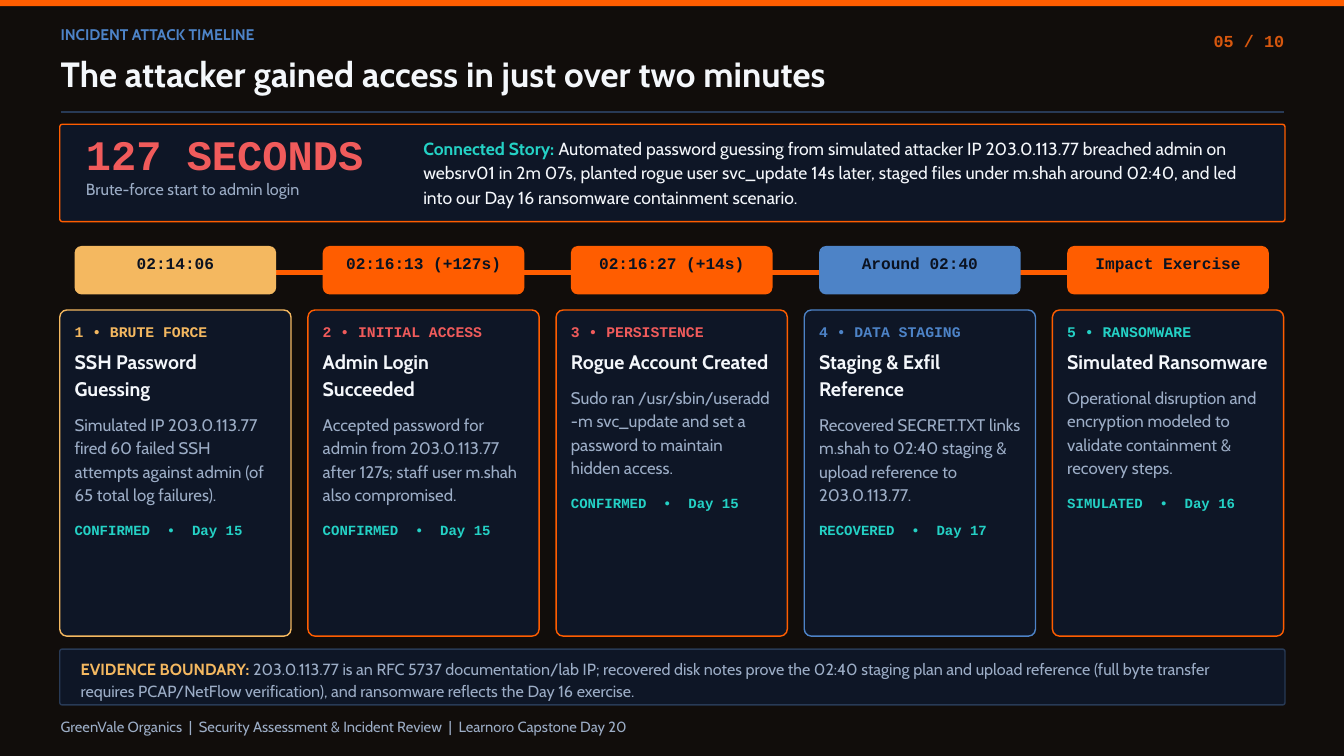
from collections import namedtuple

from lxml.etree import SubElement
from pptx import Presentation
from pptx.dml.color import RGBColor
from pptx.enum.shapes import MSO_CONNECTOR, MSO_SHAPE
from pptx.enum.text import PP_ALIGN
from pptx.oxml.ns import qn
from pptx.util import Cm, Pt

BACKGROUND = RGBColor(0x11, 0x0D, 0x0B)
PANEL = RGBColor(0x0E, 0x16, 0x26)
RULE = RGBColor(0x28, 0x3A, 0x56)
ORANGE = RGBColor(0xFF, 0x5D, 0x00)
PAGE_ORANGE = RGBColor(0xD7, 0x57, 0x0E)
AMBER = RGBColor(0xF4, 0xB8, 0x60)
RED = RGBColor(0xF0, 0x5B, 0x5B)
BLUE = RGBColor(0x4D, 0x83, 0xC7)
TEAL = RGBColor(0x24, 0xD1, 0xC5)
WHITE = RGBColor(0xF4, 0xF7, 0xFB)
GREY = RGBColor(0x9C, 0xAD, 0xC6)
INK = RGBColor(0x0B, 0x12, 0x20)

SANS = "Cabin"
MONO = "Courier New"

SLIDE_WIDTH, SLIDE_HEIGHT = 50.8, 28.58
MARGIN = 2.29
PANEL_LEFT, PANEL_WIDTH = 2.26, 46.31
CARD_PITCH, CARD_WIDTH = 9.38, 8.74
CARD_PADDING = 0.56

Run = namedtuple("Run", "text size color bold font", defaults=(False, SANS))
Line = namedtuple("Line", "runs spacing before", defaults=(0,))
Stage = namedtuple("Stage", "time phase title detail status accent phase_color")

STAGES = [
    Stage("02:14:06", "BRUTE FORCE", "SSH Password Guessing",
          "Simulated IP 203.0.113.77 fired 60 failed SSH attempts against "
          "admin (of 65 total log failures).",
          "CONFIRMED  •  Day 15", AMBER, AMBER),
    Stage("02:16:13 (+127s)", "INITIAL ACCESS", "Admin Login Succeeded",
          "Accepted password for admin from 203.0.113.77 after 127s; "
          "staff user m.shah also compromised.",
          "CONFIRMED  •  Day 15", ORANGE, RED),
    Stage("02:16:27 (+14s)", "PERSISTENCE", "Rogue Account Created",
          "Sudo ran /usr/sbin/useradd -m svc_update and set a password "
          "to maintain hidden access.",
          "CONFIRMED  •  Day 15", ORANGE, RED),
    Stage("Around 02:40", "DATA STAGING", "Staging & Exfil Reference",
          "Recovered SECRET.TXT links m.shah to 02:40 staging & upload "
          "reference to 203.0.113.77.",
          "RECOVERED  •  Day 17", BLUE, BLUE),
    Stage("Impact Exercise", "RANSOMWARE", "Simulated Ransomware",
          "Operational disruption and encryption modeled to validate "
          "containment & recovery steps.",
          "SIMULATED  •  Day 16", ORANGE, TEAL),
]


def add_text(slide, left, top, width, height, lines, align=PP_ALIGN.LEFT):
    box = slide.shapes.add_textbox(Cm(left), Cm(top), Cm(width), Cm(height))
    frame = box.text_frame
    frame.word_wrap = True
    frame.margin_left = frame.margin_right = 0
    frame.margin_top = frame.margin_bottom = 0
    for index, line in enumerate(lines):
        paragraph = frame.add_paragraph() if index else frame.paragraphs[0]
        paragraph.alignment = align
        paragraph.line_spacing = Pt(line.spacing)
        if line.before:
            paragraph.space_before = Pt(line.before)
        for part in line.runs:
            run = paragraph.add_run()
            run.text = part.text
            run.font.name = part.font
            run.font.size = Pt(part.size)
            run.font.bold = part.bold
            run.font.color.rgb = part.color


def add_panel(slide, left, top, width, height, fill, outline=None, radius=0):
    """Draw a filled box; radius is the corner radius in centimetres."""
    preset = MSO_SHAPE.ROUNDED_RECTANGLE if radius else MSO_SHAPE.RECTANGLE
    panel = slide.shapes.add_shape(preset, Cm(left), Cm(top), Cm(width), Cm(height))
    panel.shadow.inherit = False
    if radius:
        panel.adjustments[0] = radius / min(width, height)
    panel.fill.solid()
    panel.fill.fore_color.rgb = fill
    if outline is None:
        panel.line.fill.background()
    else:
        panel.line.color.rgb = outline
        panel.line.width = Pt(1.5)


def add_rule(slide, left, right, y, color, weight):
    rule = slide.shapes.add_connector(
        MSO_CONNECTOR.STRAIGHT, Cm(left), Cm(y), Cm(right), Cm(y))
    rule.line.color.rgb = color
    rule.line.width = Pt(weight)
    SubElement(rule.line._get_or_add_ln().getparent(), qn("a:effectLst"))


def add_header(slide):
    add_panel(slide, 0, 0, SLIDE_WIDTH, 0.23, ORANGE)
    add_text(slide, MARGIN, 0.84, 36.22, 1.14, [
        Line([Run("INCIDENT ATTACK TIMELINE", 16.5, BLUE, True)], 22.8)])
    add_text(slide, MARGIN, 1.75, 43.08, 2.26, [
        Line([Run("The attacker gained access in just over two minutes",
                  37.5, WHITE, True)], 51.8)])
    add_text(slide, 45.36, 1.04, 3.18, 1.52, [
        Line([Run("05 / 10", 18, PAGE_ORANGE, True, MONO)], 24.9)], PP_ALIGN.RIGHT)
    add_rule(slide, MARGIN, 48.54, 4.23, RULE, 2)


def add_summary(slide):
    add_panel(slide, PANEL_LEFT, 4.7, PANEL_WIDTH, 3.68, PANEL, ORANGE, 0.1)
    add_text(slide, 3.25, 4.75, 12.19, 3.35, [
        Line([Run("127 SECONDS", 45, RED, True, MONO)], 56.7),
        Line([Run("Brute-force start to admin login", 17.3, GREY)], 21.8)])
    add_text(slide, 16, 5.11, 31.65, 2.82, [
        Line([Run("Connected Story: ", 18.8, TEAL, True),
              Run("Automated password guessing from simulated attacker IP "
                  "203.0.113.77 breached admin on websrv01 in 2m 07s, planted "
                  "rogue user svc_update 14s later, staged files under m.shah "
                  "around 02:40, and led into our Day 16 ransomware "
                  "containment scenario.", 18.8, WHITE)], 25.9)])


def add_stage(slide, number, stage):
    """Draw one time badge with its card below."""
    card_left = PANEL_LEFT + (number - 1) * CARD_PITCH
    left = card_left + CARD_PADDING
    width = CARD_WIDTH - 2 * CARD_PADDING
    add_panel(slide, left, 9.3, width, 1.83, stage.accent, radius=0.26)
    add_text(slide, left, 9.47, width, 1.32, [
        Line([Run(stage.time, 17.3, INK, True, MONO)], 23.8)], PP_ALIGN.CENTER)
    add_panel(slide, card_left, 11.72, CARD_WIDTH, 12.33, PANEL, stage.accent, 0.27)
    add_text(slide, left, 12.12, width, 11.46, [
        Line([Run(f"{number} • {stage.phase}", 15.8, stage.phase_color, True, MONO)],
             21.8),
        Line([Run(stage.title, 21, WHITE, True)], 29, 6),
        Line([Run(stage.detail, 18, GREY)], 24.9, 12),
        Line([Run(stage.status, 15, TEAL, True, MONO)], 20.7, 15)])


def add_timeline(slide):
    add_rule(slide, 4.57, 46.13, 10.31, ORANGE, 5.75)
    for number, stage in enumerate(STAGES, start=1):
        add_stage(slide, number, stage)


def add_evidence_note(slide):
    add_panel(slide, PANEL_LEFT, 24.54, PANEL_WIDTH, 2.11, PANEL, RULE, 0.09)
    add_text(slide, 3.05, 24.82, 44.81, 1.45, [
        Line([Run("EVIDENCE BOUNDARY: ", 17.3, AMBER, True),
              Run("203.0.113.77 is an RFC 5737 documentation/lab IP; recovered "
                  "disk notes prove the 02:40 staging plan and upload reference "
                  "(full byte transfer requires PCAP/NetFlow verification), and "
                  "ransomware reflects the Day 16 exercise.", 17.3, GREY)], 23.8)])


def add_footer(slide):
    add_text(slide, MARGIN, 27.05, 46.25, 1.07, [
        Line([Run("GreenVale Organics  |  Security Assessment & Incident Review"
                  "  |  Learnoro Capstone Day 20", 15.8, GREY)], 21.8)])


def main():
    presentation = Presentation()
    presentation.slide_width = Cm(SLIDE_WIDTH)
    presentation.slide_height = Cm(SLIDE_HEIGHT)
    slide = presentation.slides.add_slide(presentation.slide_layouts[6])
    slide.background.fill.solid()
    slide.background.fill.fore_color.rgb = BACKGROUND
    add_header(slide)
    add_summary(slide)
    add_timeline(slide)
    add_evidence_note(slide)
    add_footer(slide)
    presentation.save("out.pptx")


if __name__ == "__main__":
    main()
